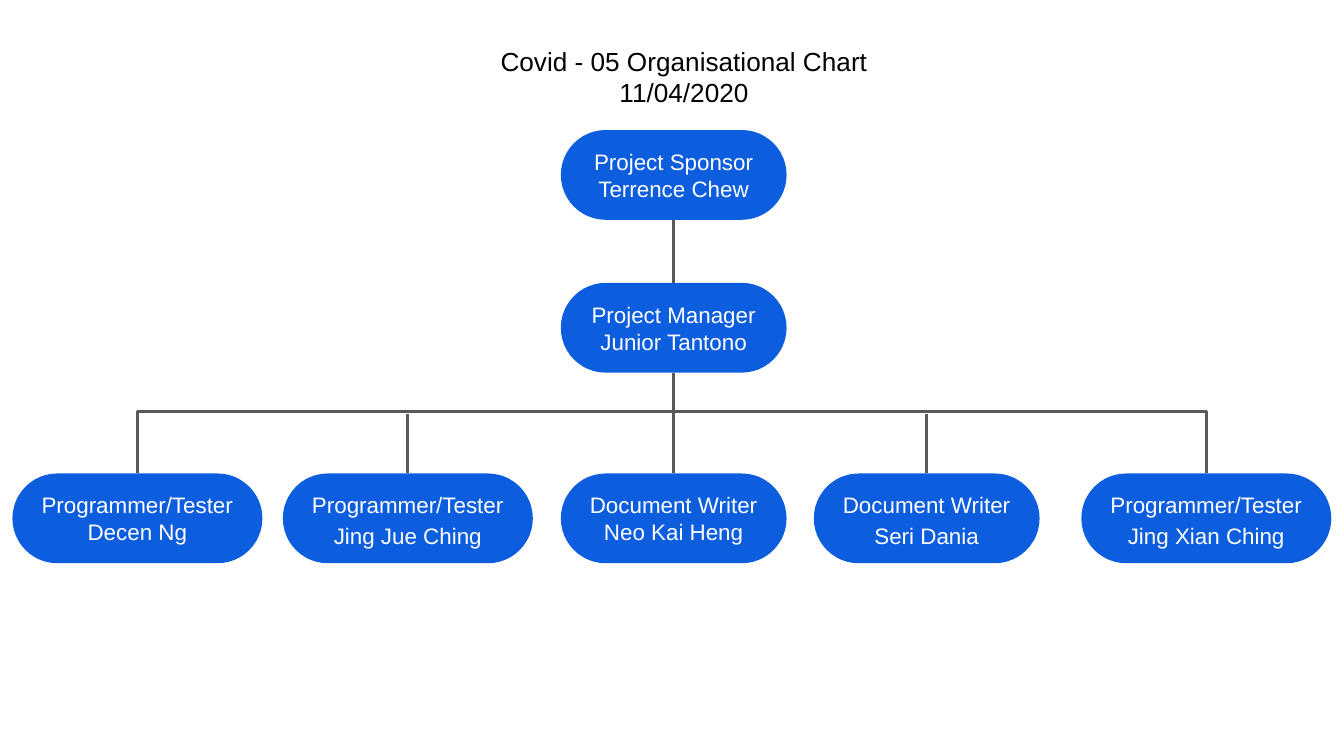
from dataclasses import dataclass

from lxml.etree import SubElement
from pptx import Presentation
from pptx.dml.color import RGBColor
from pptx.enum.shapes import MSO_CONNECTOR, MSO_SHAPE
from pptx.enum.text import MSO_ANCHOR, MSO_AUTO_SIZE, PP_ALIGN
from pptx.oxml.ns import qn
from pptx.util import Inches, Length, Pt


@dataclass(frozen=True)
class Theme:
    font: str = "Arial"
    box: RGBColor = RGBColor(0x0D, 0x5D, 0xDF)
    box_text: RGBColor = RGBColor(0xFF, 0xFF, 0xFF)
    title_text: RGBColor = RGBColor(0, 0, 0)
    line: RGBColor = RGBColor(0x59, 0x59, 0x59)
    title_size: Length = Pt(14)
    box_size: Length = Pt(12)
    line_width: Length = Pt(1.5)
    inset: Length = Inches(0.1)


@dataclass(frozen=True)
class Member:
    role: str
    name: str
    center: float
    top: float
    width: float
    spacing: float = 1.0


THEME = Theme()
WIDTH = Inches(10)
HEIGHT = Length(WIDTH * 9 // 16)

# Places in percent of the slide's width and height
MIDDLE = 50.13
SPONSOR_ROW, MANAGER_ROW, TEAM_ROW = 17.2, 37.42, 62.63
BOX_HEIGHT = 11.88
NARROW, WIDE = 16.8, 18.6
RAIL, DROP = 54.4, 54.75

SPONSOR = Member("Project Sponsor", "Terrence Chew", MIDDLE, SPONSOR_ROW, NARROW)
MANAGER = Member("Project Manager", "Junior Tantono", MIDDLE, MANAGER_ROW, NARROW)
TEAM = [
    Member("Programmer/Tester", "Decen Ng", 10.23, TEAM_ROW, WIDE),
    Member("Programmer/Tester", "Jing Jue Ching", 30.35, TEAM_ROW, WIDE, 1.15),
    Member("Document Writer", "Neo Kai Heng", MIDDLE, TEAM_ROW, NARROW),
    Member("Document Writer", "Seri Dania", 68.95, TEAM_ROW, NARROW, 1.15),
    Member("Programmer/Tester", "Jing Xian Ching", 89.76, TEAM_ROW, WIDE, 1.15),
]


def across(percent: float) -> Length:
    return Length(round(WIDTH * percent / 100))


def down(percent: float) -> Length:
    return Length(round(HEIGHT * percent / 100))


def write_lines(shape, lines: list[str], size: Length, color: RGBColor,
                anchor: MSO_ANCHOR, spacing: float = 1.0) -> None:
    frame = shape.text_frame
    frame.word_wrap = True
    frame.auto_size = MSO_AUTO_SIZE.NONE
    frame.vertical_anchor = anchor
    frame.margin_left = frame.margin_right = THEME.inset
    frame.margin_top = frame.margin_bottom = THEME.inset
    for index, line in enumerate(lines):
        para = frame.add_paragraph() if index else frame.paragraphs[0]
        para.alignment = PP_ALIGN.CENTER
        para.line_spacing = spacing
        para.space_before = Pt(0)
        span = para.add_run()
        span.text = line
        span.font.name = THEME.font
        span.font.size = size
        span.font.color.rgb = color


def add_member(page, member: Member):
    box = page.shapes.add_shape(
        MSO_SHAPE.ROUNDED_RECTANGLE, across(member.center - member.width / 2),
        down(member.top), across(member.width), down(BOX_HEIGHT))
    box.adjustments[0] = 0.5
    box.shadow.inherit = False
    box.fill.solid()
    box.fill.fore_color.rgb = THEME.box
    box.line.fill.background()
    write_lines(box, [member.role, member.name], THEME.box_size,
                THEME.box_text, MSO_ANCHOR.MIDDLE, member.spacing)
    return box


def add_link(page, start_x: float, start_y: float, member: Member, box,
             bent: bool = False):
    """Draw a line from a point to the top of a member's box."""
    kind = MSO_CONNECTOR.ELBOW if bent else MSO_CONNECTOR.STRAIGHT
    link = page.shapes.add_connector(
        kind, across(start_x), down(start_y), across(member.center), down(member.top))
    link.end_connect(box, 0)
    link.line.color.rgb = THEME.line
    link.line.width = THEME.line_width
    properties = link._element.spPr
    SubElement(properties, qn("a:effectLst"))
    if bent:  # a single corner: along the rail, then down
        properties.find(qn("a:prstGeom")).set("prst", "bentConnector2")
    return link


def main() -> None:
    deck = Presentation()
    deck.slide_width, deck.slide_height = WIDTH, HEIGHT
    page = deck.slides.add_slide(deck.slide_layouts[5])

    # Title
    title = page.shapes.title
    title.left, title.top = across(28), down(4.2)
    title.width, title.height = across(45.8), down(11)
    write_lines(title, ["Covid - 05 Organisational Chart", "11/04/2020"],
                THEME.title_size, THEME.title_text, MSO_ANCHOR.TOP)

    # Boxes
    sponsor_box = add_member(page, SPONSOR)
    manager_box = add_member(page, MANAGER)
    team_boxes = [add_member(page, member) for member in TEAM]

    # Sponsor to manager
    link = add_link(page, MIDDLE, SPONSOR_ROW + BOX_HEIGHT, MANAGER, manager_box)
    link.begin_connect(sponsor_box, 2)

    # Manager to team: bent at both ends of the rail, straight between
    for member, box in zip(TEAM, team_boxes):
        if member in (TEAM[0], TEAM[-1]):
            add_link(page, MIDDLE, RAIL, member, box, bent=True)
        elif member.center == MIDDLE:
            link = add_link(page, MIDDLE, MANAGER_ROW + BOX_HEIGHT, member, box)
            link.begin_connect(manager_box, 2)
        else:
            add_link(page, member.center, DROP, member, box)

    deck.save("out.pptx")


if __name__ == "__main__":
    main()
